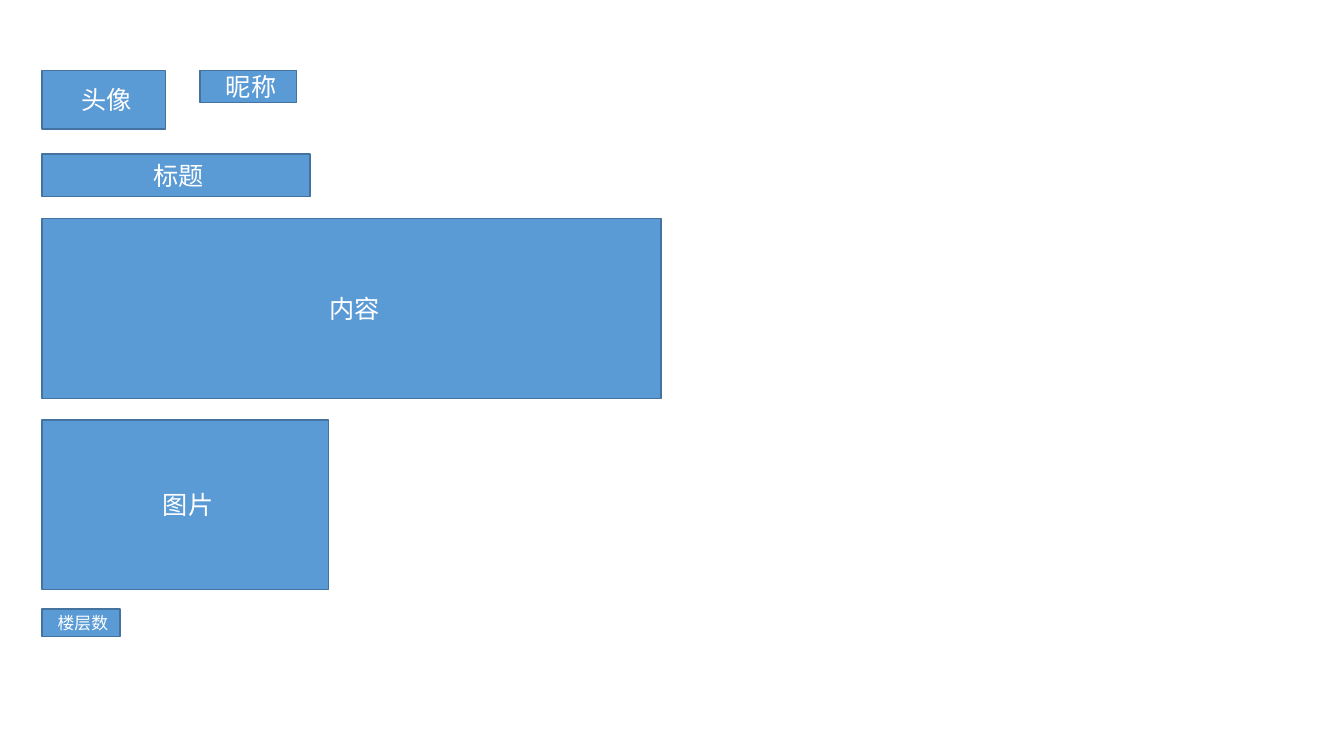
from pptx import Presentation
from pptx.dml.color import RGBColor
from pptx.enum.shapes import MSO_SHAPE
from pptx.enum.text import MSO_ANCHOR, PP_ALIGN
from pptx.util import Inches, Pt

RECT = MSO_SHAPE.RECTANGLE
MIDDLE = MSO_ANCHOR.MIDDLE
CENTER = PP_ALIGN.CENTER

COLORS = {"fill": "5B9BD5", "line": "43739E", "text": "FFFFFF"}
rgb = {name: RGBColor.from_string(value) for name, value in COLORS.items()}

prs = Presentation()
prs.slide_width, prs.slide_height = Inches(13.33), Inches(7.5)
s = prs.slides.add_slide(prs.slide_layouts[6])

# One percent of the slide's width and height
col, row = prs.slide_width / 100, prs.slide_height / 100
LEFT = 3.13
TOP = 9.33

# Post layout: label, left, top, width, height (percent), text size
blocks = [
    ("头像", LEFT, TOP, 9.17, 7.77, 18),
    ("昵称", 14.88, TOP, 7.2, 4.27, 18),
    ("标题", LEFT, 20.37, 19.95, 5.63, 18),
    ("内容", LEFT, 28.93, 46.07, 23.77, 18),
    ("楼层数", LEFT, 80.57, 5.8, 3.6, 12),
    ("图片", LEFT, 55.57, 21.32, 22.4, 18),
]

for label, x, y, w, h, size in blocks:
    sp = s.shapes.add_shape(RECT, round(x * col), round(y * row),
                            round(w * col), round(h * row))
    sp.shadow.inherit = False
    sp.fill.solid()
    sp.fill.fore_color.rgb = rgb["fill"]
    sp.line.color.rgb = rgb["line"]
    sp.line.width = Pt(1)

    # Centred label
    tf = sp.text_frame
    tf.word_wrap = True
    tf.vertical_anchor = MIDDLE
    p = tf.paragraphs[0]
    p.alignment = CENTER
    r = p.add_run()
    r.text = " " + label
    r.font.color.rgb = rgb["text"]
    for key, value in {"name": "Calibri", "size": Pt(size)}.items():
        setattr(r.font, key, value)

prs.save("out.pptx")
